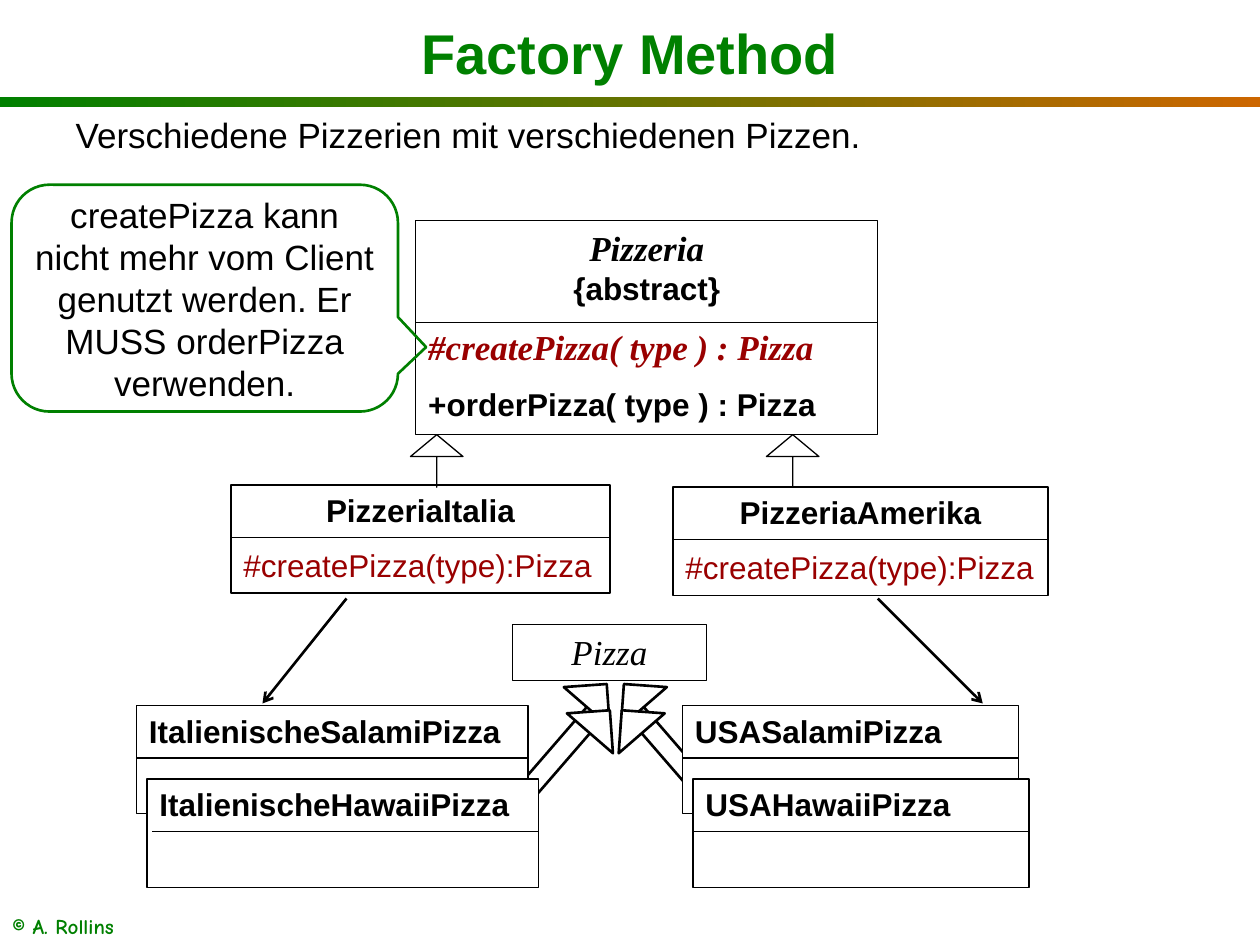
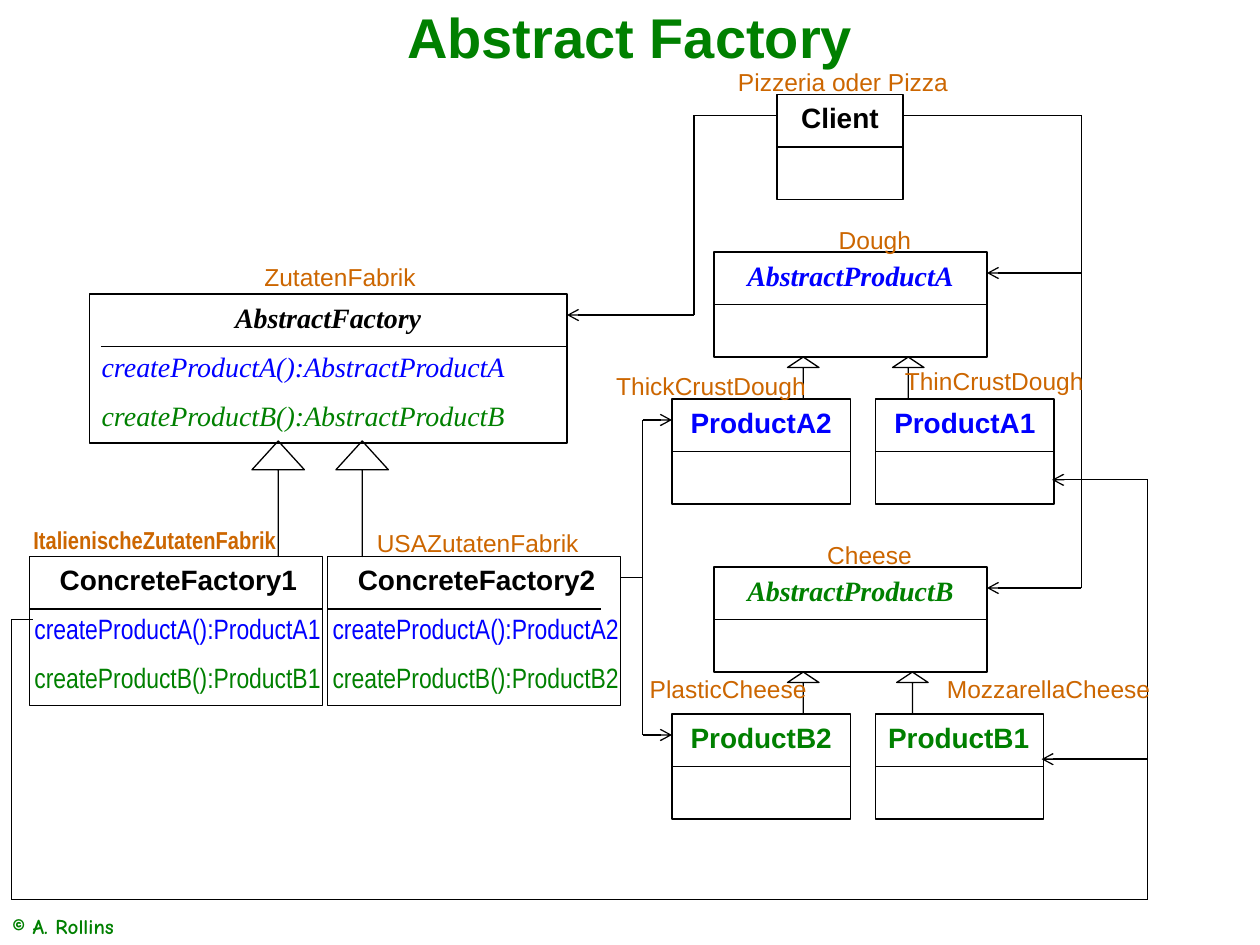
from itertools import pairwise

from lxml import etree
from pptx import Presentation
from pptx import util as u
from pptx.dml.color import RGBColor
from pptx.enum import shapes, text
from pptx.oxml.ns import qn

COLORS = {"green": "008000", "orange": "CC6600", "red": "990000",
          "blue": "0000FF", "black": "000000", "white": "FFFFFF"}
COLS = 120
SANS, SERIF, NARROW = "Arial", "Times New Roman", "Arial Narrow"
STYLES = {
    "title": (SANS, 32, True, False),
    "body": (SANS, 20, False, False),
    "class": (SANS, 18, True, False),
    "member": (SANS, 18, False, False),
    "abstract": (SERIF, 20, True, True),
    "interface": (SERIF, 20, False, True),
    "small class": (SANS, 16, True, False),
    "small abstract": (SERIF, 16, True, True),
    "small signature": (SERIF, 16, False, True),
    "small member": (NARROW, 16, False, False),
    "label": (SANS, 14, False, False),
    "narrow label": (NARROW, 14, True, False),
    "footer": ("Comic Neue", 12, True, False),
}
LEFT, CENTER = text.PP_ALIGN.LEFT, text.PP_ALIGN.CENTER
SHAPE = shapes.MSO_SHAPE
DIVIDER = (5, 0, 0)
NARROW_INSETS = (0.04, 0)

FOOTER = ("© A. Rollins", (0, 86.4, 17.4, 3.6))
BAND = (0, 9.2, 120, 1)

METHOD = {
    "title": ("Factory Method", (0, 0.5, 120, 8.9)),
    "intro": ("Verschiedene Pizzerien mit verschiedenen Pizzen.", (6, 10.2, 108, 14)),
    "callout": ("createPizza kann nicht mehr vom Client genutzt werden. "
                "Er MUSS orderPizza verwenden.", (1.1, 17.6, 36.8, 21.6)),
    "product arrows": [(50.2, 63.4, 220.9), (61.2, 63.4, 139.1),
                       (50.5, 65.9, 220.9), (61, 65.9, 139.1)],
    "inherit": [(39.1, 41.4, 5, 5, 0.417), (73, 41.4, 5, 5, 0.417)],
    "wires": [[(33, 57), (25, 67)], [(83.6, 57), (93.6, 67)]],
}
PIZZERIA = [
    [("Pizzeria", "abstract", "black"), ("{abstract}", "class", "black")],
    [("#createPizza( type ) : Pizza", "abstract", "red")],
    [("+orderPizza( type ) : Pizza", "class", "black")],
]
PIZZERIAS = [("PizzeriaItalia", (22, 46.2, 36.1, 10.3)),
             ("PizzeriaAmerika", (64.1, 46.4, 35.7, 10.3))]
PIZZAS = [("ItalienischeSalamiPizza", (13, 67.2, 37.3, 10.3), DIVIDER),
          ("ItalienischeHawaiiPizza", (14, 74.2, 37.3, 10.3), (5, 0.5, 0)),
          ("USASalamiPizza", (65, 67.2, 32, 10.3), DIVIDER),
          ("USAHawaiiPizza", (66, 74.2, 32, 10.3), DIVIDER)]

FACTORY_TITLE = ("Abstract Factory", (0, 0.5, 120, 5.8))
FACTORIES = [
    ("AbstractFactory", "small abstract", "small signature", "AbstractProductA",
     "AbstractProductB", (8.5, 28, 45.5, 14.2), (5, 1.1, 0), (0.1, 0.1)),
    ("ConcreteFactory1", "small class", "small member", "ProductA1",
     "ProductB1", (2.8, 53, 27.9, 14.2), DIVIDER, NARROW_INSETS),
    ("ConcreteFactory2", "small class", "small member", "ProductA2",
     "ProductB2", (31.2, 53, 27.9, 14.2), (5, 0, 1.9), NARROW_INSETS),
]
PRODUCTS = [
    ("Client", "small class", "black", (74, 9, 12), CENTER),
    ("AbstractProductA", "small abstract", "blue", (68, 24, 26), CENTER),
    ("ProductA2", "small class", "blue", (64, 38, 17), CENTER),
    ("ProductA1", "small class", "blue", (83.4, 38, 17), CENTER),
    ("AbstractProductB", "small abstract", "green", (68, 54, 26), CENTER),
    ("ProductB2", "small class", "green", (64, 68, 17), CENTER),
    ("ProductB1", "small class", "green", (83.4, 68, 16), LEFT),
]
FACTORY_INHERIT = [(24, 42, 5, 11, 0.55), (32, 42, 5, 11, 0.55),
                   (75, 34, 3, 4, 0.333), (85, 34, 3, 4, 0.333),
                   (75, 64, 3, 4, 0.333), (85.4, 64, 3, 4, 0.333)]
FACTORY_WIRES = [
    [(3.1, 59), (1.1, 59), (1.1, 85.7), (109.3, 85.7), (109.3, 45.7), (100.2, 45.7)],
    [(109.3, 72.3), (99.2, 72.3)],
    [(59.1, 55), (61.2, 55), (61.2, 40), (64, 40)],
    [(61.2, 55), (61.2, 70), (64, 70)],
    [(74, 11), (66.1, 11), (66.1, 30), (54, 30)],
    [(86, 11), (103, 11), (103, 56), (94, 56)],
    [(103, 26), (94, 26)],
]
EXAMPLES = [
    ("Pizzeria oder Pizza", 68, 5.8, 24.6, "label", CENTER),
    ("ZutatenFabrik", 24, 24.4, 18, "label", LEFT),
    ("ItalienischeZutatenFabrik", 2, 49.4, 28.8, "narrow label", LEFT),
    ("USAZutatenFabrik", 34.7, 49.7, 26, "label", LEFT),
    ("ThickCrustDough", 57.5, 34.7, 21, "label", LEFT),
    ("ThinCrustDough", 85, 34.3, 20.4, "label", LEFT),
    ("Cheese", 77.6, 50.8, 18, "label", LEFT),
    ("Dough", 78.7, 20.8, 18, "label", LEFT),
    ("MozzarellaCheese", 89, 63.6, 22, "label", LEFT),
    ("PlasticCheese", 60.7, 63.6, 17.5, "label", LEFT),
]

deck = Presentation()
deck.slide_width, deck.slide_height = u.Inches(10), u.Inches(7.5)
CELL = deck.slide_width / COLS


def cells(*lengths):
    return [round(length * CELL) for length in lengths]


def color(name):
    return RGBColor.from_string(COLORS[name])


def write(part, paragraphs, aligns, insets=(0.1, 0.1), anchor=text.MSO_ANCHOR.TOP):
    frame = part.text_frame
    frame.word_wrap = True
    frame.auto_size = text.MSO_AUTO_SIZE.NONE
    frame.vertical_anchor = anchor
    frame.margin_left, frame.margin_right = map(u.Inches, insets)
    frame.margin_top = frame.margin_bottom = u.Inches(0.05)
    for row, (runs, align) in enumerate(zip(paragraphs, aligns)):
        paragraph = frame.add_paragraph() if row else frame.paragraphs[0]
        paragraph.alignment = align
        paragraph.space_before = u.Pt(0)
        for column, (words, style, ink) in enumerate(runs):
            family, size, bold, italic = STYLES[style]
            if column:
                paragraph.add_line_break()
            elif row:
                paragraph.space_before = u.Pt(size * 0.55)
            run = paragraph.add_run()
            run.text = words
            font = run.font
            font.name, font.size, font.bold, font.italic = family, u.Pt(size), bold, italic
            font.color.rgb = color(ink)


def outline(slide, kind, place, ink="black", width=0.75, fill=None):
    part = slide.shapes.add_shape(kind, *cells(*place))
    part.shadow.inherit = False
    part.line.color.rgb = color(ink)
    part.line.width = u.Pt(width)
    if fill:
        part.fill.solid()
        part.fill.fore_color.rgb = color(fill)
    else:
        part.fill.background()
    return part


def wire(slide, points, width=0.75, arrow=True):
    for start, end in pairwise(points):
        link = slide.shapes.add_connector(shapes.MSO_CONNECTOR.STRAIGHT, *cells(*start, *end))
        link.line.color.rgb = color("black")
        link.line.width = u.Pt(width)
        etree.SubElement(link._element.spPr, qn("a:effectLst"))
    if arrow:
        etree.SubElement(link.line._get_or_add_ln(), qn("a:tailEnd"), type="arrow")


def uml_class(slide, place, paragraphs, aligns, divider=DIVIDER, insets=(0.1, 0.1), fill=None):
    write(outline(slide, SHAPE.RECTANGLE, place, fill=fill), paragraphs, aligns, insets)
    if divider:
        left, top, width, _ = place
        down, start, end = divider
        wire(slide, [(left + start, top + down), (left + width - end, top + down)], arrow=False)


def arrow_shape(slide, kind, place, head, **look):
    part = outline(slide, kind, place, **look)
    part.adjustments[0], part.adjustments[1] = 0, head
    return part


def fill_placeholder(part, words, place, style, ink, align, anchor):
    part.left, part.top, part.width, part.height = cells(*place)
    write(part, [[(words, style, ink)]], [align], anchor=anchor)


def text_box(slide, words, place, style, ink, align=LEFT):
    write(slide.shapes.add_textbox(*cells(*place)), [[(words, style, ink)]], [align])


def new_slide(layout, title):
    slide = deck.slides.add_slide(deck.slide_layouts.get_by_name(layout))
    fill_placeholder(slide.shapes.title, *title, "title", "green", CENTER, text.MSO_ANCHOR.MIDDLE)
    text_box(slide, *FOOTER, "footer", "green")
    return slide


def build_factory_method():
    slide = new_slide("Title and Content", METHOD["title"])
    band = outline(slide, SHAPE.RECTANGLE, BAND)
    band.line.fill.background()
    band.fill.gradient()
    band.fill.gradient_angle = 0
    for stop, ink in zip(band.fill.gradient_stops, ("green", "orange")):
        stop.color.rgb = color(ink)

    intro = slide.placeholders[1]
    fill_placeholder(intro, *METHOD["intro"], "body", "black", LEFT, text.MSO_ANCHOR.TOP)
    properties = intro.text_frame.paragraphs[0]._p.get_or_add_pPr()
    properties.set("marL", "0")
    properties.set("indent", "0")
    etree.SubElement(properties, qn("a:buNone"))

    for left, top, turn in METHOD["product arrows"]:
        arrow_shape(slide, SHAPE.DOWN_ARROW, (left, top, 5.8, 14.3), 0.5,
                    width=1.5, fill="white").rotation = turn
    uml_class(slide, (39.6, 21, 44, 20.4), PIZZERIA, [CENTER, LEFT, LEFT], (9.7, 0, 0))
    for name, place in PIZZERIAS:
        uml_class(slide, place, [[(name, "class", "black")],
                                 [("#createPizza(type):Pizza", "member", "red")]], [CENTER, LEFT])
    for *place, head in METHOD["inherit"]:
        arrow_shape(slide, SHAPE.UP_ARROW, place, head, fill="white")
    for points in METHOD["wires"]:
        wire(slide, points, 1.5)
    for name, place, divider in PIZZAS:
        uml_class(slide, place, [[(name, "class", "black")]], [LEFT], divider, fill="white")
    uml_class(slide, (48.8, 59.5, 18.5, 5.3), [[("Pizza", "interface", "black")]], [CENTER], None)

    words, place = METHOD["callout"]
    callout = outline(slide, SHAPE.ROUNDED_RECTANGULAR_CALLOUT, place, "green", 1.5)
    for index, value in enumerate((0.573, 0.216, 0.167)):
        callout.adjustments[index] = value
    write(callout, [[(words, "body", "black")]], [CENTER], anchor=text.MSO_ANCHOR.MIDDLE)


def build_abstract_factory():
    slide = new_slide("Title Only", FACTORY_TITLE)
    for name, style, member, product_a, product_b, place, divider, insets in FACTORIES:
        uml_class(slide, place, [[(name, style, "black")],
                                 [(f"createProductA():{product_a}", member, "blue")],
                                 [(f"createProductB():{product_b}", member, "green")]],
                  [CENTER, LEFT, LEFT], divider, insets)
    for name, style, ink, place, align in PRODUCTS:
        uml_class(slide, (*place, 10), [[(name, style, ink)]], [align])
    for *place, head in FACTORY_INHERIT:
        arrow_shape(slide, SHAPE.UP_ARROW, place, head)
    for points in FACTORY_WIRES:
        wire(slide, points)
    for words, left, top, width, style, align in EXAMPLES:
        text_box(slide, words, (left, top, width, 4), style, "orange", align)


if __name__ == "__main__":
    build_factory_method()
    build_abstract_factory()
    deck.save("out.pptx")
